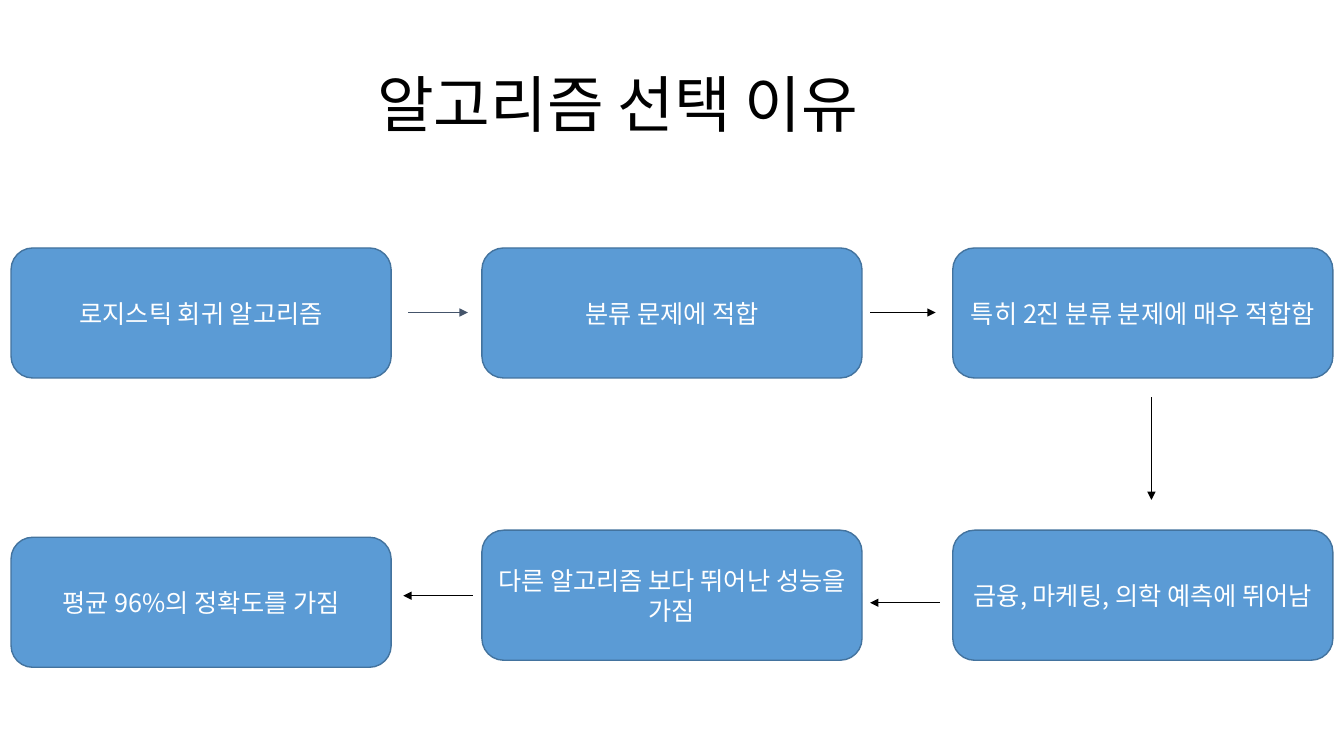
from lxml import etree
from pptx import Presentation
from pptx.dml.color import RGBColor
from pptx.enum.shapes import MSO_CONNECTOR, MSO_SHAPE
from pptx.enum.text import MSO_ANCHOR, MSO_AUTO_SIZE, PP_ALIGN
from pptx.oxml.ns import qn
from pptx.util import Inches, Pt

ROUNDED = MSO_SHAPE.ROUNDED_RECTANGLE
STRAIGHT = MSO_CONNECTOR.STRAIGHT
MIDDLE = MSO_ANCHOR.MIDDLE
NO_FIT = MSO_AUTO_SIZE.NONE
LEFT, CENTER = PP_ALIGN.LEFT, PP_ALIGN.CENTER

FONT = "Noto Sans CJK KR"
COLORS = {
    "box": "5B9BD5",
    "border": "43739E",
    "slate": "44546A",
    "black": "000000",
    "white": "FFFFFF",
}
BOX_WIDTH, BOX_HEIGHT = 3.77, 1.29
COLUMNS = [0.11 + 4.67 * column for column in range(3)]
TOP_ROW, BOTTOM_ROW = 2.46, 5.26


def color(name):
    return RGBColor.from_string(COLORS[name])


def write(shape, text, size, color_name, align):
    frame = shape.text_frame
    frame.word_wrap = True
    frame.auto_size = NO_FIT
    frame.vertical_anchor = MIDDLE
    para = frame.paragraphs[0]
    para.text = text
    para.alignment = align
    para.font.name = FONT
    para.font.size = Pt(size)
    para.font.color.rgb = color(color_name)
    for span in para.runs:
        span.font.name = FONT
        east_asian = etree.SubElement(span.font._element, qn("a:ea"))
        east_asian.set("typeface", FONT)
    return para


deck = Presentation()
deck.slide_width, deck.slide_height = Inches(13.33), Inches(7.5)
page = deck.slides.add_slide(deck.slide_layouts[5])

title = page.shapes.title
title.left, title.top = Inches(3.64), Inches(0.34)
title.width, title.height = Inches(6.05), Inches(1.45)
title_para = write(title, "알고리즘 선택 이유", 44, "black", LEFT)
title_para.line_spacing = 0.9

reasons = [
    ("로지스틱 회귀 알고리즘", COLUMNS[0], TOP_ROW),
    ("분류 문제에 적합", COLUMNS[1], TOP_ROW),
    ("특히 2진 분류 분제에 매우 적합함", COLUMNS[2], TOP_ROW),
    ("금융, 마케팅, 의학 예측에 뛰어남", COLUMNS[2], BOTTOM_ROW),
    ("다른 알고리즘 보다 뛰어난 성능을 가짐", COLUMNS[1], BOTTOM_ROW),
    ("평균 96%의 정확도를 가짐", COLUMNS[0], BOTTOM_ROW + 0.07),
]
for text, left, top in reasons:
    box = page.shapes.add_shape(
        ROUNDED, Inches(left), Inches(top), Inches(BOX_WIDTH), Inches(BOX_HEIGHT)
    )
    box.shadow.inherit = False
    box.fill.solid()
    box.fill.fore_color.rgb = color("box")
    box.line.color.rgb = color("border")
    box.line.width = Pt(1)
    write(box, text, 18, "white", CENTER)

arrows = [
    (4.05, 3.1, 4.64, 3.1, "slate"),
    (8.63, 3.1, 9.28, 3.1, "black"),
    (11.42, 3.94, 11.42, 4.96, "black"),
    (9.32, 5.98, 8.63, 5.98, "black"),
    (4.69, 5.91, 4, 5.91, "black"),
]
for *ends, color_name in arrows:
    arrow = page.shapes.add_connector(STRAIGHT, *[Inches(end) for end in ends])
    arrow.line.color.rgb = color(color_name)
    arrow.line.width = Pt(0.5)
    head = etree.SubElement(arrow.line._get_or_add_ln(), qn("a:tailEnd"))
    head.set("type", "triangle")
    etree.SubElement(arrow._element.spPr, qn("a:effectLst"))

deck.save("out.pptx")
